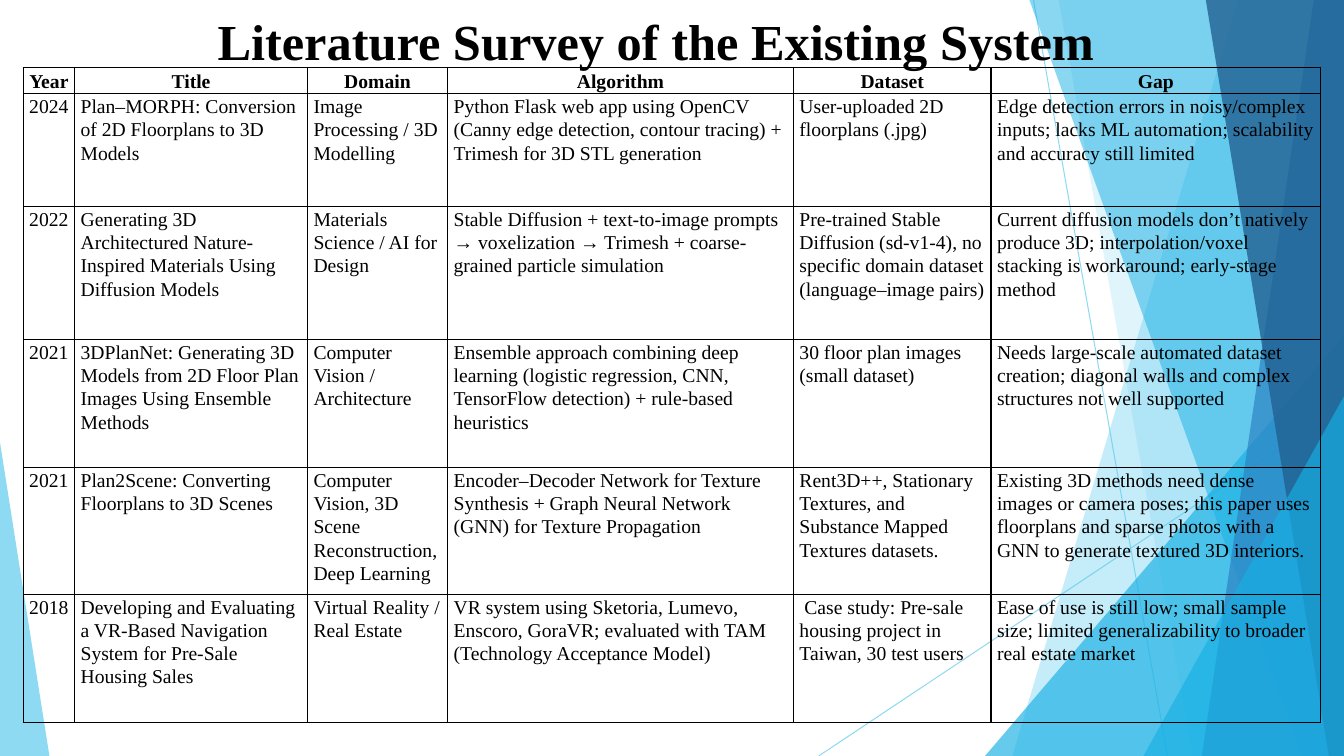
"""Build a slide with a literature survey table over a faceted blue backdrop."""
from lxml.etree import SubElement
from pptx import Presentation
from pptx.dml.color import RGBColor
from pptx.enum.shapes import MSO_CONNECTOR, MSO_SHAPE
from pptx.enum.text import MSO_ANCHOR, PP_ALIGN
from pptx.oxml.ns import qn
from pptx.util import Inches, Pt

WIDE, HIGH = 13.33, 7.5
FONT = "Times New Roman"
INK = "000000"
TITLE = "Literature Survey of the Existing System"
HEADS = ["Year", "Title", "Domain", "Algorithm", "Dataset", "Gap"]
PAPERS = [
    ("2024", "Plan–MORPH: Conversion of 2D Floorplans to 3D Models",
     "Image Processing / 3D Modelling",
     "Python Flask web app using OpenCV (Canny edge detection, contour tracing) + "
     "Trimesh for 3D STL generation",
     "User-uploaded 2D floorplans (.jpg)",
     "Edge detection errors in noisy/complex inputs; lacks ML automation; "
     "scalability and accuracy still limited"),
    ("2022", "Generating 3D Architectured Nature-Inspired Materials Using Diffusion Models",
     "Materials Science / AI for Design",
     "Stable Diffusion + text-to-image prompts → voxelization → Trimesh + "
     "coarse-grained particle simulation",
     "Pre-trained Stable Diffusion (sd-v1-4), no specific domain dataset "
     "(language–image pairs)",
     "Current diffusion models don’t natively produce 3D; interpolation/voxel "
     "stacking is workaround; early-stage method"),
    ("2021", "3DPlanNet: Generating 3D Models from 2D Floor Plan Images Using Ensemble Methods",
     "Computer Vision / Architecture",
     "Ensemble approach combining deep learning (logistic regression, CNN, "
     "TensorFlow detection) + rule-based heuristics",
     "30 floor plan images (small dataset)",
     "Needs large-scale automated dataset creation; diagonal walls and complex "
     "structures not well supported"),
    ("2021", "Plan2Scene: Converting Floorplans to 3D Scenes",
     "Computer Vision, 3D Scene Reconstruction, Deep Learning",
     "Encoder–Decoder Network for Texture Synthesis + Graph Neural Network (GNN) "
     "for Texture Propagation",
     "Rent3D++, Stationary Textures, and Substance Mapped Textures datasets.",
     "Existing 3D methods need dense images or camera poses; this paper uses "
     "floorplans and sparse photos with a GNN to generate textured 3D interiors."),
    ("2018", "Developing and Evaluating a VR-Based Navigation System for Pre-Sale Housing Sales",
     "Virtual Reality / Real Estate",
     "VR system using Sketoria, Lumevo, Enscoro, GoraVR; evaluated with TAM "
     "(Technology Acceptance Model)",
     " Case study: Pre-sale housing project in Taiwan, 30 test users",
     "Ease of use is still low; small sample size; limited generalizability to "
     "broader real estate market"),
]
COLS = [0.51, 2.31, 1.39, 3.43, 1.96, 3.27]
ROWS = [0.25, 1.12, 1.32, 1.27, 1.21, 1.27]

RAYS = [(10.25, 0, 11.58, HIGH), (WIDE, 4.03, 8.12, HIGH)]
FACETS = [
    ("panel", (12.28, 10.04), "5FCBEF", 36),
    ("panel", (10.5, 11.83), "5FCBEF", 20),
    ("wedge", (9.77, 3.33, 3.56, 1), "17B0E4", 66),
    ("panel", (10.21, 12.91), "17B0E4", 50),
    ("panel", (13.03, 11.92), "2E83C3", 70),
    ("panel", (11.96, 13.18), "226292", 80),
    ("wedge", (11.34, 3.93, 1.99, 1), "17B0E4", 66),
    ("wedge", (0, 4.39, 0.49, 0), "5FCBEF", 70),
]


def paint(fill, tone, alpha=100):
    """Make a fill solid, in a hex colour with a given opacity."""
    fill.solid()
    fill.fore_color.rgb = RGBColor.from_string(tone)
    if alpha < 100:
        node = fill._xPr.find(qn("a:solidFill"))[0]
        SubElement(node, qn("a:alpha"), val=str(alpha * 1000))


def write(para, text, size, bold):
    """Add one run in the slide font."""
    run = para.add_run()
    run.text = text
    run.font.name, run.font.size, run.font.bold = FONT, Pt(size), bold
    paint(run.font.fill, INK)


def draw_ray(group, ray):
    """Draw one thin line of the backdrop."""
    line = group.shapes.add_connector(MSO_CONNECTOR.STRAIGHT, *map(Inches, ray))
    line.line.width = Pt(0.75)
    paint(line.line.fill, "5FCBEF", 70)
    SubElement(line._element.spPr, qn("a:effectLst"))


def draw_facet(group, kind, geom, tone, alpha):
    """Draw one translucent panel or wedge of the backdrop."""
    if kind == "panel":
        top, foot = geom
        pen = group.shapes.build_freeform(Inches(top), 0)
        ends = [(WIDE, 0), (WIDE, HIGH), (foot, HIGH)]
        pen.add_line_segments([(Inches(x), Inches(y)) for x, y in ends])
        shape = pen.convert_to_shape()
    else:
        left, top, width, apex = geom
        box = map(Inches, (left, top, width, HIGH - top))
        shape = group.shapes.add_shape(MSO_SHAPE.ISOSCELES_TRIANGLE, *box)
        shape.adjustments[0] = apex
    shape.shadow.inherit = False
    shape.line.fill.background()
    paint(shape.fill, tone, alpha)


def fill_cell(cell, text, head):
    """Set the text, insets and borders of one cell."""
    cell.margin_left = cell.margin_right = Inches(0.06)
    cell.margin_top, cell.margin_bottom = Inches(0.01), 0
    cell.vertical_anchor = MSO_ANCHOR.MIDDLE if head else MSO_ANCHOR.TOP
    para = cell.text_frame.paragraphs[0]
    para.alignment = PP_ALIGN.CENTER if head else PP_ALIGN.LEFT
    para.line_spacing, para.space_after = 1.07, Pt(8)
    write(para, text, 14, head)
    props = cell._tc.get_or_add_tcPr()
    for side in "LRTB":
        edge = SubElement(props, qn("a:ln" + side), w=str(Pt(1)))
        solid = SubElement(edge, qn("a:solidFill"))
        SubElement(solid, qn("a:srgbClr"), val=INK)
    cell.fill.background()


def add_title(slide):
    """Add the slide title."""
    box = slide.shapes.add_textbox(*map(Inches, (2.06, 0, 9.2, 1.2)))
    frame = box.text_frame
    frame.word_wrap = True
    frame.margin_top = Inches(0.1)
    write(frame.paragraphs[0], TITLE, 36, True)


def add_survey(slide):
    """Add the survey table."""
    place = map(Inches, (0.23, 0.67, sum(COLS), sum(ROWS)))
    table = slide.shapes.add_table(len(ROWS), len(COLS), *place).table
    table.first_row = table.horz_banding = False
    for col, width in zip(table.columns, COLS):
        col.width = Inches(width)
    for row, height in zip(table.rows, ROWS):
        row.height = Inches(height)
    for r, texts in enumerate([HEADS, *PAPERS]):
        for c, text in enumerate(texts):
            fill_cell(table.cell(r, c), text, r == 0)


def main():
    """Build and save the slide."""
    deck = Presentation()
    deck.slide_width, deck.slide_height = Inches(WIDE), Inches(HIGH)
    slide = deck.slides.add_slide(deck.slide_layouts[6])
    group = slide.shapes.add_group_shape()
    for ray in RAYS:
        draw_ray(group, ray)
    for facet in FACETS:
        draw_facet(group, *facet)
    add_title(slide)
    add_survey(slide)
    deck.save("out.pptx")


if __name__ == "__main__":
    main()
